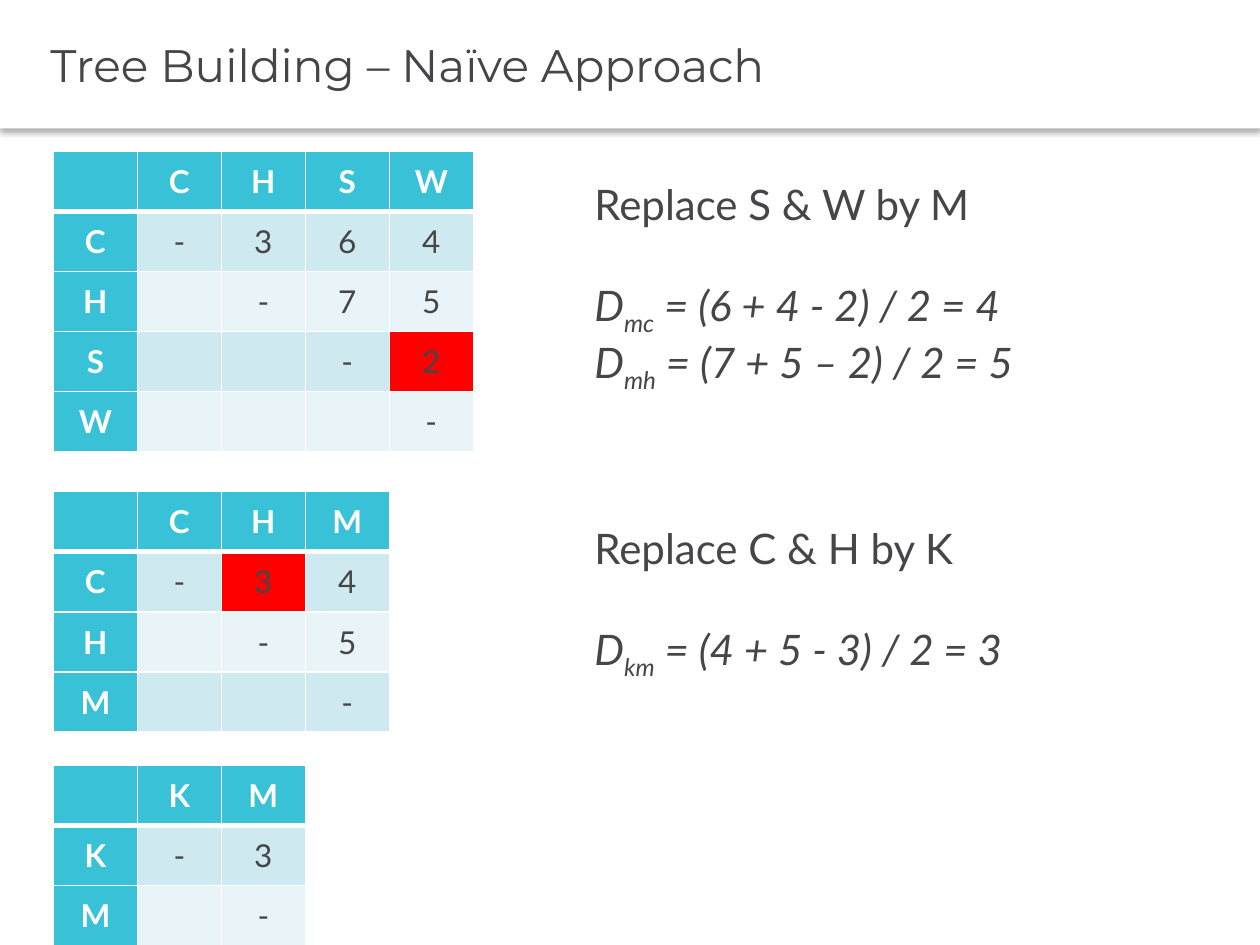
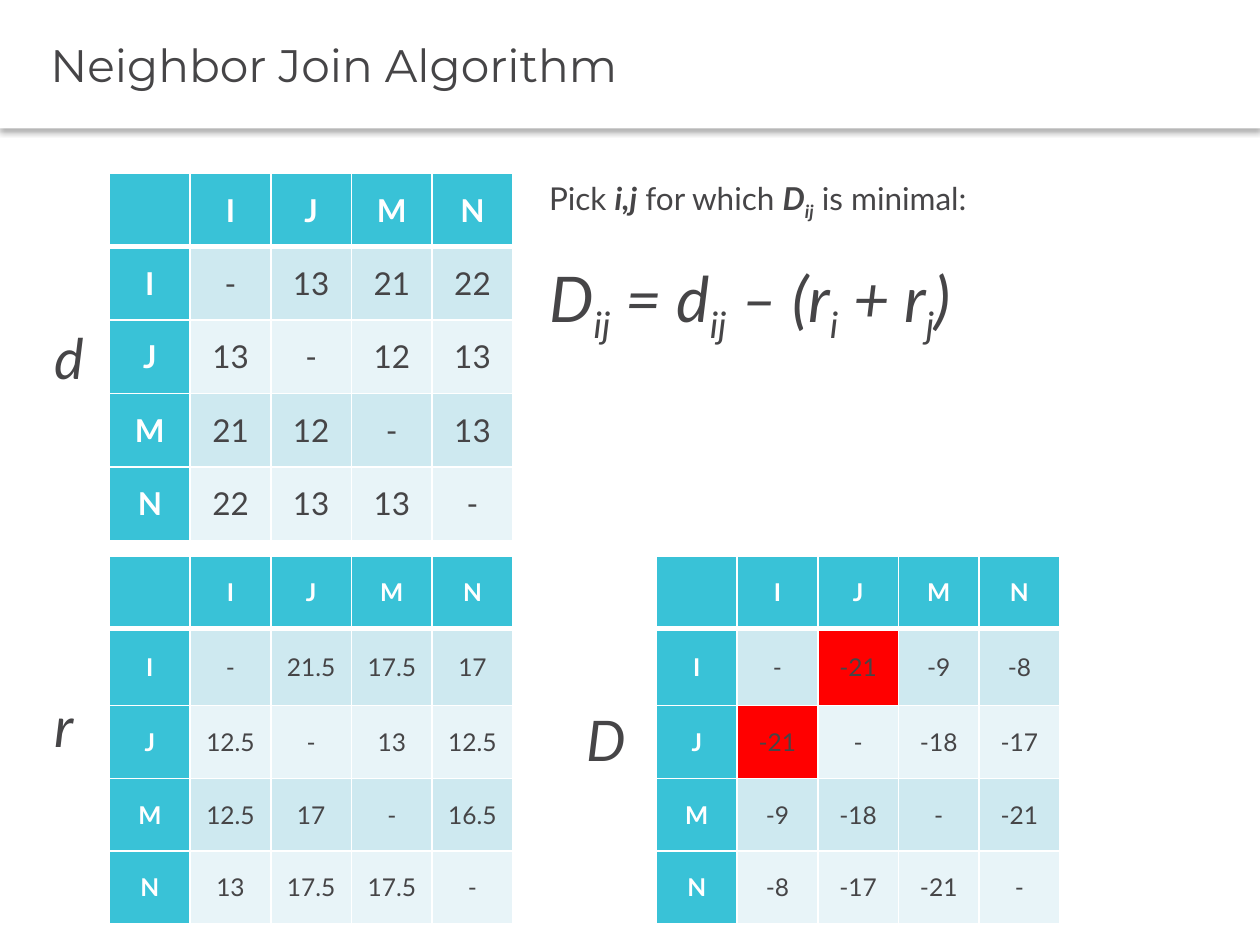
from lxml.etree import SubElement
from pptx import Presentation
from pptx.dml.color import RGBColor
from pptx.enum.shapes import MSO_SHAPE
from pptx.enum.text import MSO_ANCHOR, MSO_AUTO_SIZE, PP_ALIGN
from pptx.oxml import parse_xml
from pptx.oxml.ns import nsdecls, qn
from pptx.util import Pt

# Shared look
WHITE = RGBColor(0xFF, 0xFF, 0xFF)
INK = RGBColor(0x46, 0x45, 0x47)
TEAL = RGBColor(0x39, 0xC2, 0xD7)
BANDS = [RGBColor(0xE8, 0xF4, 0xF8), RGBColor(0xCE, 0xE9, 0xF0)]
RED = RGBColor(0xFF, 0x00, 0x00)
TITLE_FONT = "Montserrat"
BODY_FONT = "Lato"
TITLE_SHADOW = f"""<a:effectLst {nsdecls("a")}>
<a:outerShdw blurRad="{Pt(3.1)}" dist="{Pt(2)}" dir="5400000" algn="t" rotWithShape="0">
<a:srgbClr val="000000"><a:alpha val="30000"/></a:srgbClr></a:outerShdw></a:effectLst>"""


def add_matrix(slide, left, top, column_width, row_heights, size, rows, marked=()):
    """Add a distance matrix; marked lists the (row, column) cells in red."""
    count = len(rows)
    frame = slide.shapes.add_table(count, count, Pt(left), Pt(top),
                                   Pt(column_width * count), Pt(sum(row_heights)))
    table = frame.table
    table.horz_banding = False
    for column in table.columns:
        column.width = Pt(column_width)
    for r, values in enumerate(rows):
        table.rows[r].height = Pt(row_heights[r])
        for c, value in enumerate(values):
            cell = table.cell(r, c)
            is_header = r == 0 or c == 0
            # White grid, thicker under the header row
            properties = cell._tc.get_or_add_tcPr()
            for side in "LRTB":
                heavy = (r, side) in [(0, "B"), (1, "T")]
                line = SubElement(properties, qn(f"a:ln{side}"), w=str(Pt(3 if heavy else 1)))
                line_fill = SubElement(line, qn("a:solidFill"))
                SubElement(line_fill, qn("a:srgbClr"), val=str(WHITE))
            cell.fill.solid()
            cell.fill.fore_color.rgb = (TEAL if is_header
                                        else RED if (r, c) in marked else BANDS[r % 2])
            cell.vertical_anchor = MSO_ANCHOR.MIDDLE
            cell.text_frame.text = value
            paragraph = cell.text_frame.paragraphs[0]
            paragraph.alignment = PP_ALIGN.CENTER
            for run in paragraph.runs:
                run.font.name = BODY_FONT
                run.font.size = Pt(size)
                run.font.bold = is_header
                run.font.color.rgb = WHITE if is_header else INK


def add_text(slide, left, top, width, height, paragraphs, wrap=True):
    """Add text from (size, space before, runs); run styles: b bold, i italic, _ subscript."""
    box = slide.shapes.add_textbox(Pt(left), Pt(top), Pt(width), Pt(height))
    text_frame = box.text_frame
    text_frame.word_wrap = wrap
    text_frame.auto_size = MSO_AUTO_SIZE.SHAPE_TO_FIT_TEXT
    for index, (size, space_before, runs) in enumerate(paragraphs):
        paragraph = text_frame.add_paragraph() if index else text_frame.paragraphs[0]
        if space_before:
            paragraph.space_before = Pt(space_before)
        for text, style in runs:
            run = paragraph.add_run()
            run.text = text
            run.font.name = BODY_FONT
            run.font.size = Pt(size)
            run.font.color.rgb = INK
            run.font.bold = "b" in style
            run.font.italic = "i" in style
            if "_" in style:
                run._r.get_or_add_rPr().set("baseline", "-25000")


presentation = Presentation()
presentation.slide_width = Pt(720)
presentation.slide_height = Pt(540)

# Slides with their title bands
slides = []
for title in ["Tree Building – Naïve Approach", "Neighbor Join Algorithm"]:
    slide = presentation.slides.add_slide(presentation.slide_layouts[6])
    band = slide.shapes.add_shape(MSO_SHAPE.RECTANGLE, 0, 0, Pt(720), Pt(73.4))
    band.fill.solid()
    band.fill.fore_color.rgb = WHITE
    band.line.fill.background()
    band._element.spPr.append(parse_xml(TITLE_SHADOW))
    text_frame = band.text_frame
    text_frame.margin_left = Pt(28.8)
    text_frame.vertical_anchor = MSO_ANCHOR.MIDDLE
    text_frame.text = title
    paragraph = text_frame.paragraphs[0]
    paragraph.alignment = PP_ALIGN.LEFT
    font = paragraph.runs[0].font
    font.name = TITLE_FONT
    font.size = Pt(26)
    font.color.rgb = INK
    slides.append(slide)
naive_slide, neighbor_slide = slides

# Naive approach: the matrix shrinks with every merge
merge_steps = [
    (86.4, [["", "C", "H", "S", "W"],
            ["С", "-", "3", "6", "4"],
            ["H", "", "-", "7", "5"],
            ["S", "", "", "-", "2"],
            ["W", "", "", "", "-"]], [(3, 4)]),
    (281, [["", "C", "H", "M"],
           ["С", "-", "3", "4"],
           ["H", "", "-", "5"],
           ["M", "", "", "-"]], [(1, 2)]),
    (437.3, [["", "K", "M"],
             ["K", "-", "3"],
             ["M", "", "-"]], []),
]
for top, rows, marked in merge_steps:
    add_matrix(naive_slide, 30.5, top, 48, [34.3] * len(rows), 18, rows, marked)

# Naive approach: the new distances
merge_notes = [
    (98.6, 123.8, "Replace S & W by M", [("mc", " = (6 + 4 - 2) / 2 = 4"),
                                         ("mh", " = (7 + 5 – 2) / 2 = 5")]),
    (295.2, 94.3, "Replace C & H by K", [("km", " = (4 + 5 - 3) / 2 = 3")]),
]
for top, height, heading, formulas in merge_notes:
    paragraphs = [(24, 0, [(heading, "")])]
    for index, (subscript, result) in enumerate(formulas):
        paragraphs.append((24, 0 if index else 28.8,
                           [("D", "i"), (subscript, "i_"), (result, "i")]))
    add_text(naive_slide, 332.6, top, 275.8, height, paragraphs)

# Neighbor joining: matrices d, r and D
labels = ["I", "J", "M", "N"]
EVEN_ROWS = [42] * 5
LOWER_ROWS = [41.5, 44, 41.5, 41.5, 41.5]
matrices = [
    (62.6, 98.9, EVEN_ROWS, 18, [["-", "13", "21", "22"],
                                 ["13", "-", "12", "13"],
                                 ["21", "12", "-", "13"],
                                 ["22", "13", "13", "-"]], []),
    (62.6, 317.8, LOWER_ROWS, 14, [["-", "21.5", "17.5", "17"],
                                   ["12.5", "-", "13", "12.5"],
                                   ["12.5", "17", "-", "16.5"],
                                   ["13", "17.5", "17.5", "-"]], []),
    (375.1, 317.8, LOWER_ROWS, 14, [["-", "-21", "-9", "-8"],
                                    ["-21", "-", "-18", "-17"],
                                    ["-9", "-18", "-", "-21"],
                                    ["-8", "-17", "-21", "-"]], [(1, 2), (2, 1)]),
]
for left, top, row_heights, size, values, marked in matrices:
    rows = [[""] + labels] + [[label] + line for label, line in zip(labels, values)]
    add_matrix(neighbor_slide, left, top, 46.1, row_heights, size, rows, marked)

# Neighbor joining: selection rule and matrix names
add_text(neighbor_slide, 306.7, 98.6, 367.2, 138.2, [
    (18, 0, [("Pick ", ""), ("i,j", "bi"), (" for which ", ""), ("D", "bi"),
             ("ij", "bi_"), (" is minimal:", "")]),
    (36, 21.6, [("D", "i"), ("ij", "i_"), (" = d", "i"), ("ij", "i_"), (" – (r", "i"),
                ("i", "i_"), (" + r", "i"), ("j", "i_"), (")", "i")]),
])
for name, left, top, width in [("d", 23.8, 181.4, 32.4), ("r", 23.8, 391.7, 28.1),
                               ("D", 328.3, 399.6, 34.6)]:
    add_text(neighbor_slide, left, top, width, 46, [(32, 0, [(name, "i")])], wrap=False)

presentation.save("out.pptx")
